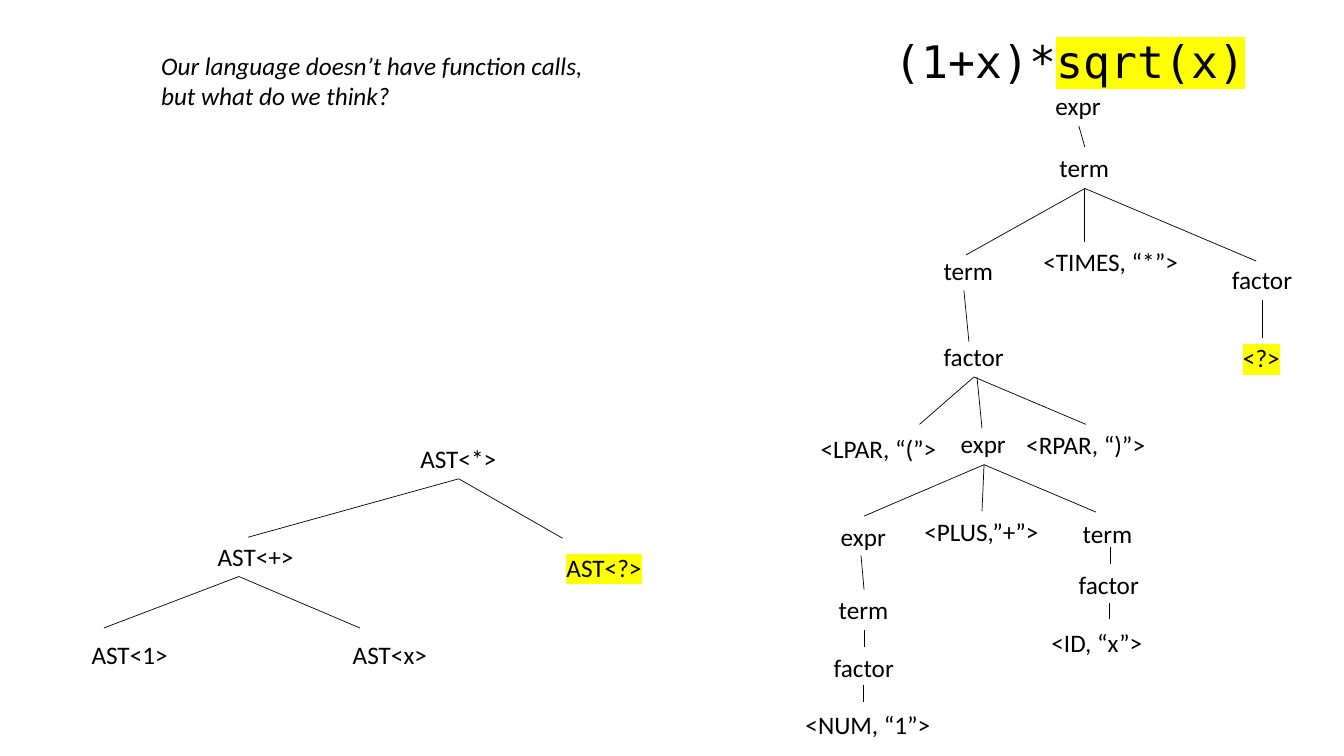
from lxml import etree
from pptx import Presentation
from pptx.dml.color import RGBColor
from pptx.enum.shapes import MSO_CONNECTOR as Connector
from pptx.enum.text import MSO_AUTO_SIZE as AutoSize
from pptx.oxml.ns import qn
from pptx.util import Inches, Pt

BLACK = RGBColor(0x00, 0x00, 0x00)
YELLOW = RGBColor(0xFF, 0xFF, 0x00)
BODY_FONT = "Calibri"
CODE_FONT = "DejaVu Sans Mono"
NODE_HEIGHT = 0.4

# Each node: label, left, top, width; offsets in inches within its region
PARSE_NODES = [
    ("expr", 3.37, 0.85, 0.65),
    ("term", 3.41, 1.46, 0.7),
    ("term", 2.26, 2.48, 0.7),
    ("<TIMES, “*”>", 3.25, 2.39, 1.55),
    ("factor", 5.12, 2.57, 0.8),
    ("factor", 2.26, 3.34, 0.8),
    ("<LPAR, “(”>", 1.04, 4.25, 1.36),
    ("expr", 2.43, 4.2, 0.65),
    ("<RPAR, “)”>", 3.08, 4.21, 1.39),
    ("expr", 1.24, 5.12, 0.65),
    ("<PLUS,”+”>", 2.07, 5.07, 1.34),
    ("term", 3.64, 5.09, 0.7),
    ("term", 1.22, 5.85, 0.7),
    ("factor", 1.17, 6.42, 0.8),
    ("<NUM, “1”>", 0.89, 6.99, 1.45),
    ("factor", 3.6, 5.6, 0.8),
    ("<ID, “x”>", 3.33, 6.17, 1.11),
    ("<?>", 5.23, 3.35, 0.57),
]
# Each branch: start point, then end point
PARSE_BRANCHES = [
    (3.7, 1.25, 3.76, 1.46),
    (3.76, 1.87, 2.58, 2.53),
    (3.75, 1.88, 3.75, 2.4),
    (3.76, 1.87, 5.46, 2.59),
    (5.52, 2.98, 5.52, 3.35),
    (2.56, 2.88, 2.61, 3.39),
    (2.66, 3.74, 2.12, 4.21),
    (2.69, 3.74, 2.74, 4.25),
    (2.66, 3.74, 3.77, 4.21),
    (2.76, 4.61, 1.57, 5.12),
    (2.76, 4.61, 2.74, 5.07),
    (2.76, 4.61, 3.87, 5.08),
    (1.54, 5.51, 1.57, 5.85),
    (1.57, 6.25, 1.57, 6.42),
    (1.56, 6.8, 1.56, 6.96),
    (4.01, 5.43, 4.01, 5.6),
    (4, 5.98, 4, 6.14),
]
AST_NODES = [
    ("AST<*>", 4.07, 0.35, 0.96),
    ("AST<+>", 2.06, 1.32, 0.96),
    ("AST<?>", 5.52, 1.43, 0.95),
    ("AST<1>", 0.81, 2.29, 0.96),
    ("AST<x>", 3.4, 2.29, 0.95),
]
AST_BRANCHES = [
    (4.55, 0.75, 2.46, 1.33),
    (4.55, 0.75, 5.58, 1.34),
    (2.37, 1.72, 1.03, 2.23),
    (2.37, 1.72, 3.57, 2.23),
]


def add_text(slide, text, left, top, width, height, *, marked="",
             size=18, font=BODY_FONT, italic=False):
    """Write one paragraph per line, with the marked part highlighted."""
    label = slide.shapes.add_textbox(
        Inches(left), Inches(top), Inches(width), Inches(height))
    frame = label.text_frame
    frame.word_wrap = False
    frame.auto_size = AutoSize.SHAPE_TO_FIT_TEXT
    for index, line in enumerate(text.split("\n")):
        paragraph = frame.paragraphs[0] if index == 0 else frame.add_paragraph()
        plain = line.removesuffix(marked)
        for part, is_marked in ((plain, False), (line[len(plain):], True)):
            if not part:
                continue
            run = paragraph.add_run()
            run.text = part
            run.font.size = Pt(size)
            run.font.name = font
            run.font.italic = italic
            run.font.color.rgb = BLACK
            if is_marked:
                highlight(run)


def highlight(run):
    mark = etree.Element(qn("a:highlight"))
    etree.SubElement(mark, qn("a:srgbClr"), val=str(YELLOW))
    run.font._element.find(qn("a:solidFill")).addnext(mark)


def add_branch(slide, x1, y1, x2, y2):
    branch = slide.shapes.add_connector(
        Connector.STRAIGHT, Inches(x1), Inches(y1), Inches(x2), Inches(y2))
    branch.line.color.rgb = BLACK
    branch.line.width = Pt(0.5)
    etree.SubElement(branch._element.spPr, qn("a:effectLst"))


def add_tree(slide, left, top, nodes, branches):
    """Draw a tree whose offsets start at the region's top left corner."""
    for x1, y1, x2, y2 in branches:
        add_branch(slide, left + x1, top + y1, left + x2, top + y2)
    for label, x, y, width in nodes:
        add_text(slide, label, left + x, top + y, width, NODE_HEIGHT,
                 marked=label if "?" in label else "")


def add_question(slide, left, top, width, height):
    add_text(slide, "Our language doesn’t have function calls,\n"
             "but what do we think?", left, top, width, height, italic=True)


def add_expression(slide, left, top, width, height):
    add_text(slide, "(1+x)*sqrt(x)", left, top, width, height,
             marked="sqrt(x)", size=32, font=CODE_FONT)


def main():
    deck = Presentation()
    deck.slide_width, deck.slide_height = Inches(13.33), Inches(7.5)
    slide = deck.slides.add_slide(deck.slide_layouts[6])

    # Question and the expression being parsed
    add_question(slide, 1.5, 0.45, 4.43, 0.71)
    add_expression(slide, 8.77, 0.29, 3.71, 0.64)

    # Parse tree on the right, AST at the lower left
    add_tree(slide, 7, 0, PARSE_NODES, PARSE_BRANCHES)
    add_tree(slide, 0, 4, AST_NODES, AST_BRANCHES)

    deck.save("out.pptx")


if __name__ == "__main__":
    main()
